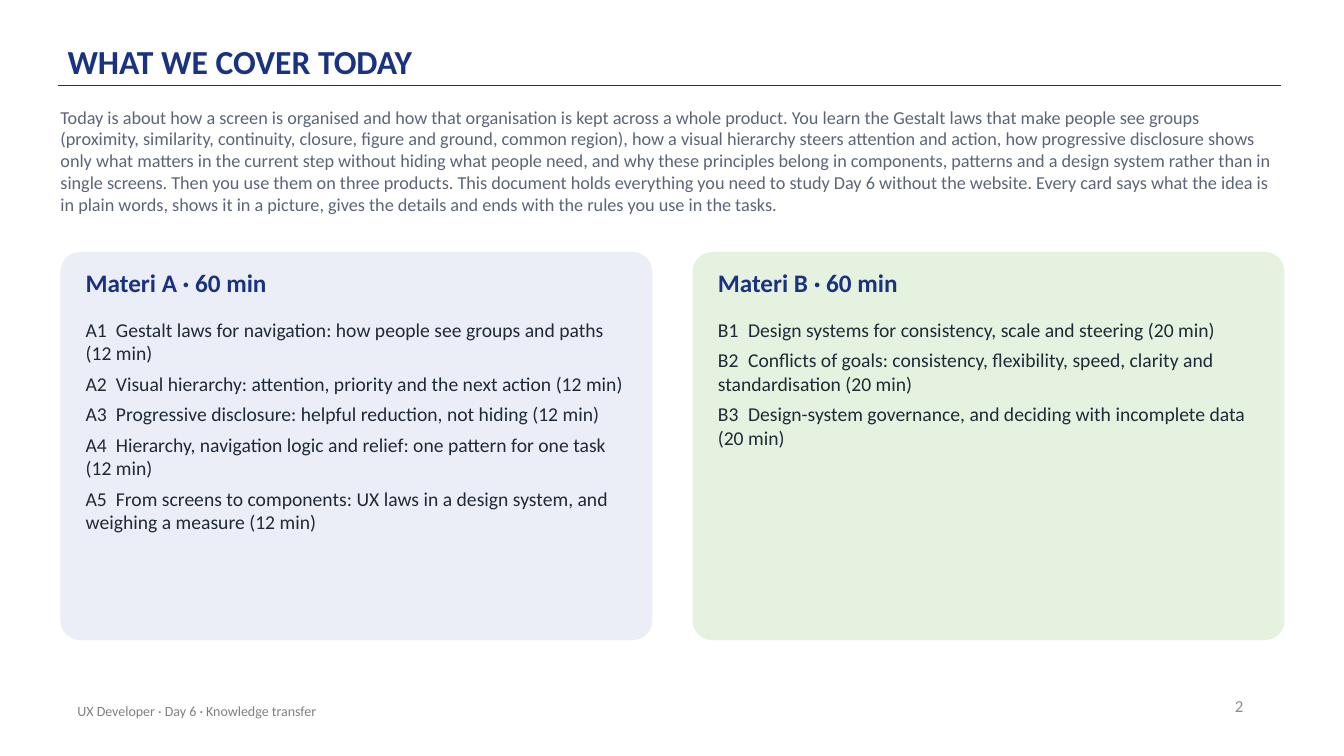
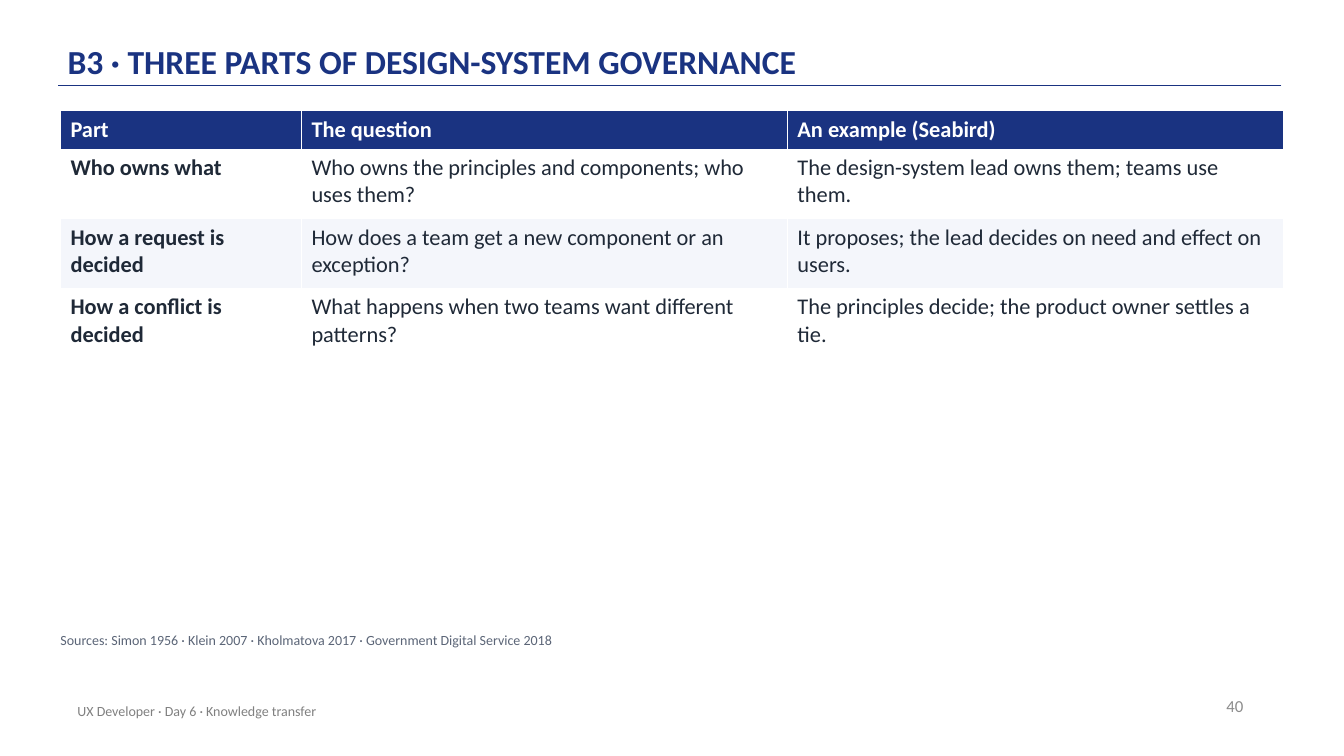
from dataclasses import dataclass

import lxml.etree
import pptx
import pptx.dml.color
import pptx.enum.shapes
import pptx.enum.text
import pptx.oxml.ns
import pptx.presentation
import pptx.slide
import pptx.text.text
import pptx.util

Inches = pptx.util.Inches
Pt = pptx.util.Pt
RGBColor = pptx.dml.color.RGBColor
Anchor = pptx.enum.text.MSO_ANCHOR
Align = pptx.enum.text.PP_ALIGN
qn = pptx.oxml.ns.qn

NAVY = RGBColor(0x1A, 0x33, 0x81)
INK = RGBColor(0x1F, 0x29, 0x37)
SLATE = RGBColor(0x5B, 0x65, 0x77)
NUMBER_GREY = RGBColor(0x8C, 0x8C, 0x8C)
FOOTER_GREY = RGBColor(0x80, 0x80, 0x80)
WHITE = RGBColor(0xFF, 0xFF, 0xFF)
PALE_BLUE = RGBColor(0xEC, 0xEE, 0xF7)
PALE_GREEN = RGBColor(0xE5, 0xF2, 0xDF)
STRIPE = RGBColor(0xF4, 0xF6, 0xFB)

FOOTER = "UX Developer · Day 6 · Knowledge transfer"
LEFT = 0.6
TEXT_WIDTH = 12.1
CARD_TOP, CARD_WIDTH, CARD_HEIGHT, CARD_GAP, CARD_PAD = 2.5, 5.87, 3.85, 0.4, 0.25
AGENDA_TAB = 0.3

NO_INSETS = (0, 0, 0, 0)
TITLE_INSETS = (0, 0.03, 0, 0.03)
DEFAULT_INSETS = (0.1, 0.05, 0.1, 0.05)


@dataclass(frozen=True)
class TextStyle:
    size: float
    color: RGBColor
    bold: bool = False
    space_after: float = 0
    line_spacing: float = 1.0
    align: Align = Align.LEFT
    anchor: Anchor = Anchor.TOP
    insets: tuple[float, ...] = NO_INSETS
    tab: float = 0


TITLE = TextStyle(24, NAVY, True, line_spacing=0.9, anchor=Anchor.BOTTOM, insets=TITLE_INSETS)
PAGE_NUMBER = TextStyle(12, NUMBER_GREY, align=Align.RIGHT, anchor=Anchor.MIDDLE, insets=DEFAULT_INSETS)
FOOTER_TEXT = TextStyle(10, FOOTER_GREY, anchor=Anchor.MIDDLE, insets=DEFAULT_INSETS)
INTRO = TextStyle(13, SLATE, space_after=6)
SOURCES = TextStyle(10, SLATE, space_after=6)
CARD_HEADING = TextStyle(18, NAVY, True, space_after=6)
AGENDA = TextStyle(14, INK, space_after=5, tab=AGENDA_TAB)
TABLE_HEADER = TextStyle(16, WHITE, True)
TABLE_LABEL = TextStyle(16, INK, True)
TABLE_BODY = TextStyle(16, INK)


@dataclass(frozen=True)
class Card:
    heading: str
    topics: list[str]
    fill: RGBColor


CARDS = [
    Card("Materi A · 60 min", [
        "A1\tGestalt laws for navigation: how people see groups and paths (12 min)",
        "A2\tVisual hierarchy: attention, priority and the next action (12 min)",
        "A3\tProgressive disclosure: helpful reduction, not hiding (12 min)",
        "A4\tHierarchy, navigation logic and relief: one pattern for one task (12 min)",
        "A5\tFrom screens to components: UX laws in a design system, and weighing a measure (12 min)",
    ], PALE_BLUE),
    Card("Materi B · 60 min", [
        "B1\tDesign systems for consistency, scale and steering (20 min)",
        "B2\tConflicts of goals: consistency, flexibility, speed, clarity and standardisation (20 min)",
        "B3\tDesign-system governance, and deciding with incomplete data (20 min)",
    ], PALE_GREEN),
]

INTRO_TEXT = (
    "Today is about how a screen is organised and how that organisation is kept across a whole "
    "product. You learn the Gestalt laws that make people see groups (proximity, similarity, "
    "continuity, closure, figure and ground, common region), how a visual hierarchy steers "
    "attention and action, how progressive disclosure shows only what matters in the current step "
    "without hiding what people need, and why these principles belong in components, patterns and "
    "a design system rather than in single screens. Then you use them on three products. This "
    "document holds everything you need to study Day 6 without the website. Every card says what "
    "the idea is in plain words, shows it in a picture, gives the details and ends with the rules "
    "you use in the tasks."
)

GOVERNANCE = [
    ("Part", "The question", "An example (Seabird)"),
    ("Who owns what", "Who owns the principles and components; who uses them?",
     "The design-system lead owns them; teams use them."),
    ("How a request is decided", "How does a team get a new component or an exception?",
     "It proposes; the lead decides on need and effect on users."),
    ("How a conflict is decided", "What happens when two teams want different patterns?",
     "The principles decide; the product owner settles a tie."),
]
GOVERNANCE_WIDTHS = (2.39, 4.82, 4.92)
GOVERNANCE_HEIGHTS = (0.38, 0.69, 0.69, 0.69)


def apply_format(target: object, values: dict[str, object]) -> None:
    for name, value in values.items():
        setattr(target, name, value)


def write_paragraph(paragraph: pptx.text.text._Paragraph, text: str, style: TextStyle) -> None:
    run = paragraph.add_run()
    run.text = text
    apply_format(paragraph, {
        "alignment": style.align,
        "space_after": Pt(style.space_after),
        "line_spacing": style.line_spacing,
    })
    if style.tab:
        stops = lxml.etree.SubElement(paragraph._p.get_or_add_pPr(), qn("a:tabLst"))
        lxml.etree.SubElement(stops, qn("a:tab"), pos=str(Inches(style.tab)), algn="l")
    apply_format(run.font, {"name": "Calibri", "size": Pt(style.size), "bold": style.bold})
    run.font.color.rgb = style.color


def add_text(slide: pptx.slide.Slide, at: tuple[float, ...], lines: list[str], style: TextStyle) -> None:
    frame = slide.shapes.add_textbox(*map(Inches, at)).text_frame
    left, top, right, bottom = map(Inches, style.insets)
    apply_format(frame, {
        "word_wrap": True,
        "vertical_anchor": style.anchor,
        "margin_left": left,
        "margin_top": top,
        "margin_right": right,
        "margin_bottom": bottom,
    })
    for index, line in enumerate(lines):
        paragraph = frame.add_paragraph() if index else frame.paragraphs[0]
        write_paragraph(paragraph, line, style)


def add_framed_slide(deck: pptx.presentation.Presentation, title: str, number: int) -> pptx.slide.Slide:
    slide = deck.slides.add_slide(deck.slide_layouts[6])
    title_rule = slide.shapes.add_connector(
        pptx.enum.shapes.MSO_CONNECTOR.STRAIGHT,
        Inches(12.71), Inches(0.85), Inches(0.58), Inches(0.85),
    )
    title_rule.line.color.rgb = NAVY
    title_rule.line.width = Pt(1)
    lxml.etree.SubElement(title_rule._element.spPr, qn("a:effectLst"))
    add_text(slide, (0.67, 0.12, 11, 0.72), [title], TITLE)
    add_text(slide, (9.43, 6.8, 3, 0.4), [str(number)], PAGE_NUMBER)
    add_text(slide, (0.67, 6.85, 6.7, 0.4), [FOOTER], FOOTER_TEXT)
    return slide


def add_card(slide: pptx.slide.Slide, left: float, card: Card) -> None:
    panel = slide.shapes.add_shape(
        pptx.enum.shapes.MSO_SHAPE.ROUNDED_RECTANGLE,
        Inches(left), Inches(CARD_TOP), Inches(CARD_WIDTH), Inches(CARD_HEIGHT),
    )
    panel.adjustments[0] = 0.05
    panel.shadow.inherit = False
    panel.fill.solid()
    panel.fill.fore_color.rgb = card.fill
    panel.line.fill.background()
    text_left, text_width = left + CARD_PAD, CARD_WIDTH - 2 * CARD_PAD
    add_text(slide, (text_left, CARD_TOP + 0.15, text_width, 0.4), [card.heading], CARD_HEADING)
    add_text(slide, (text_left, CARD_TOP + 0.65, text_width, 3.1), card.topics, AGENDA)


def add_governance_table(slide: pptx.slide.Slide) -> None:
    governance = slide.shapes.add_table(
        len(GOVERNANCE), len(GOVERNANCE_WIDTHS), Inches(LEFT), Inches(1.1),
        Inches(sum(GOVERNANCE_WIDTHS)), Inches(sum(GOVERNANCE_HEIGHTS)),
    ).table
    governance.horz_banding = False
    for column, width in zip(governance.columns, GOVERNANCE_WIDTHS):
        column.width = Inches(width)
    for row_index, (row, height) in enumerate(zip(governance.rows, GOVERNANCE_HEIGHTS)):
        row.height = Inches(height)
        fill = NAVY if row_index == 0 else (STRIPE if row_index % 2 == 0 else WHITE)
        for column_index, cell in enumerate(row.cells):
            cell.fill.solid()
            cell.fill.fore_color.rgb = fill
            if row_index == 0:
                style = TABLE_HEADER
            else:
                style = TABLE_BODY if column_index else TABLE_LABEL
            write_paragraph(cell.text_frame.paragraphs[0], GOVERNANCE[row_index][column_index], style)


def build_agenda(deck: pptx.presentation.Presentation) -> None:
    slide = add_framed_slide(deck, "WHAT WE COVER TODAY", 2)
    add_text(slide, (LEFT, 1.05, TEXT_WIDTH, 1.2), [INTRO_TEXT], INTRO)
    for index, card in enumerate(CARDS):
        add_card(slide, LEFT + index * (CARD_WIDTH + CARD_GAP), card)


def build_governance(deck: pptx.presentation.Presentation) -> None:
    slide = add_framed_slide(deck, "B3 · THREE PARTS OF DESIGN-SYSTEM GOVERNANCE", 40)
    add_governance_table(slide)
    sources = "Sources: Simon 1956 · Klein 2007 · Kholmatova 2017 · Government Digital Service 2018"
    add_text(slide, (LEFT, 6.27, TEXT_WIDTH, 0.3), [sources], SOURCES)


def main() -> None:
    deck = pptx.Presentation()
    apply_format(deck, {"slide_width": Inches(13.33), "slide_height": Inches(7.5)})
    build_agenda(deck)
    build_governance(deck)
    deck.save("out.pptx")


if __name__ == "__main__":
    main()
